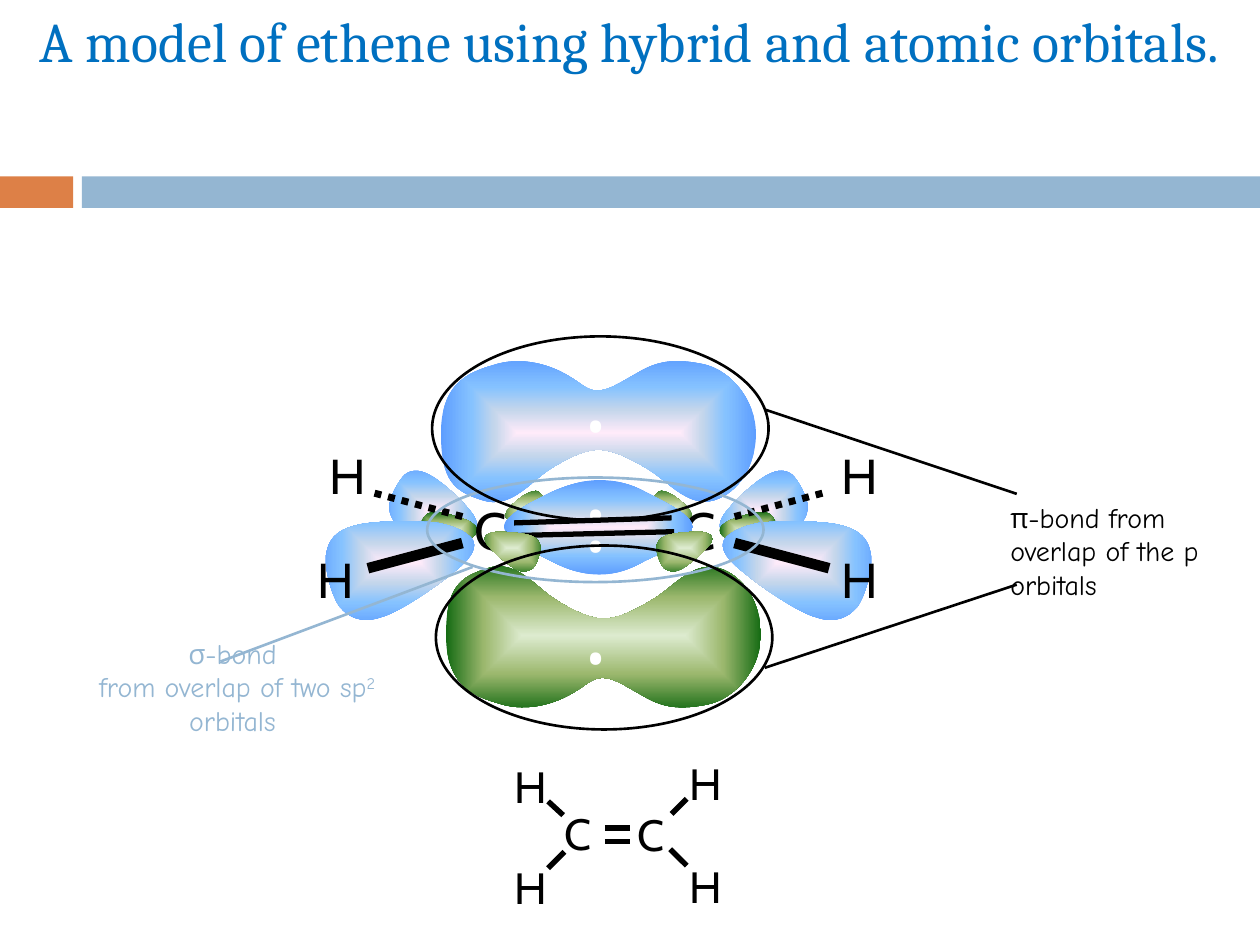
"""Build the slide on the orbital model of ethene."""
from itertools import chain
from math import cos, radians, sin

from lxml.etree import SubElement
from pptx import Presentation
from pptx.dml.color import RGBColor
from pptx.enum.dml import MSO_LINE
from pptx.enum.shapes import MSO_CONNECTOR, MSO_SHAPE
from pptx.enum.text import MSO_ANCHOR, MSO_AUTO_SIZE, PP_ALIGN
from pptx.oxml import parse_xml
from pptx.oxml.ns import nsdecls, qn
from pptx.util import Pt

PX = 9144
MIRROR = 950
BLACK, WHITE, YELLOW, ORANGE, STEEL = "000000", "FFFFFF", "FFFF00", "DD8047", "94B6D2"
TITLE = "A model of ethene using hybrid and atomic orbitals."
TITLE_BOX = (0, 0, 1000, 118)
BARS = [((0, 140, 58, 25), ORANGE), ((65, 140, 935, 25), STEEL)]

BLUE = [(0, "FFEBFA"), (30, "C4D6EB"), (60, "85C2FF"), (100, "5E9EFF")]
GREEN = [(0, "DDEBCF"), (50, "9CB86E"), (100, "156B13")]

FORMULA_ATOMS = [("H", 408, 603), ("H", 408, 683), ("C", 506, 641),
                 ("H", 547, 601), ("H", 547, 682), ("C", 448, 640)]
FORMULA_BONDS = [(480, 668, 500, 668), (480, 657, 500, 657), (447, 647, 435, 636),
                 (448, 676, 435, 689), (533, 646, 545, 634), (532, 674, 545, 687)]

SIDE_LOBES = [
    (BLUE, 295.8, [
        (378, 421), (377, 425), (370, 426), (361, 426), (351, 425), (329, 423), (320, 419),
        (312, 415), (309, 409), (309, 402), (309, 395), (316, 382), (321, 377), (326, 373),
        (332, 372), (341, 377), (349, 381), (365, 395), (371, 403), (378, 410), (380, 417),
        (378, 421)]),
    (GREEN, 90, [
        (379, 421), (379, 418), (376, 416), (371, 413), (365, 411), (352, 406), (346, 406),
        (340, 406), (337, 409), (335, 413), (333, 417), (334, 426), (335, 430), (337, 434),
        (340, 436), (346, 435), (352, 435), (365, 432), (370, 429), (376, 427), (379, 423),
        (379, 421)]),
    (BLUE, 254.3, [
        (376, 430), (378, 437), (372, 445), (359, 455), (347, 465), (317, 486), (302, 490),
        (287, 495), (277, 490), (270, 482), (263, 473), (257, 450), (259, 439), (261, 428),
        (267, 421), (282, 417), (296, 413), (332, 413), (348, 415), (363, 418), (374, 424),
        (376, 430)]),
    (GREEN, 248.2, [
        (401, 410), (402, 412), (405, 413), (409, 413), (414, 413), (424, 412), (428, 411),
        (433, 409), (434, 407), (434, 403), (434, 400), (432, 394), (429, 392), (427, 389),
        (424, 389), (420, 391), (416, 392), (408, 399), (405, 402), (402, 405), (401, 408),
        (401, 410)]),
]
SIDE_BONDS = [((417, 418, 508, 418), YELLOW, 3, None),
              ((367, 410, 292, 390), BLACK, 4, MSO_LINE.ROUND_DOT),
              ((367, 431, 292, 451), BLACK, 6, None)]
CARBON_BOX = (367, 390, 50, 60)
SIGMA_LOBE = [
    (400, 418), (400, 409), (425, 397), (437, 391), (450, 385), (463, 381), (476, 381),
    (488, 381), (501, 384), (513, 391), (525, 397), (550, 409), (550, 418), (550, 428),
    (525, 439), (512, 445), (500, 452), (488, 456), (476, 456), (463, 456), (450, 452),
    (437, 445), (425, 439), (400, 427), (400, 418)]
FRONT_LOBE = [
    (385, 426), (384, 429), (386, 432), (390, 436), (395, 441), (405, 450), (410, 452),
    (416, 455), (420, 453), (423, 451), (426, 448), (429, 439), (429, 435), (429, 431),
    (427, 427), (421, 425), (416, 423), (402, 422), (396, 422), (390, 422), (386, 424),
    (385, 426)]
PI_LOBE = [
    (383, 397), (361, 390), (350, 382), (350, 344), (350, 306), (370, 296), (391, 290),
    (411, 283), (432, 288), (447, 296), (462, 304), (465, 310), (474, 310), (483, 310),
    (490, 305), (506, 296), (521, 287), (534, 284), (558, 289), (581, 294), (600, 319),
    (600, 344), (600, 370), (586, 391), (567, 397), (548, 403), (533, 385), (517, 374),
    (501, 364), (487, 357), (475, 357), (464, 357), (449, 364), (434, 374), (419, 385),
    (404, 404), (383, 397)]
DOUBLE_BOND = [(535, 422, 410, 425), (533, 411, 408, 415)]
HYDROGENS = [(252, 349), (242, 431), (658, 431), (658, 349)]
ELECTRON_TOPS = [356, 381, 286, 470]

CALLOUTS = [
    {"color": STEEL, "rings": [(339, 379, 267, 83)], "leaders": [(375, 450, 175, 525)],
     "box": (25, 500, 319, 91), "align": PP_ALIGN.CENTER,
     "label": [[("σ", "Open Sans", 0), ("-bond", "Comic Neue", 0)],
               [(" from overlap of two sp", "Comic Neue", 0), ("2", "Comic Neue", 30),
                (" orbitals", "Comic Neue", 0)]]},
    {"color": BLACK, "rings": [(346, 433, 267, 146), (343, 267, 267, 146)],
     "leaders": [(607, 325, 807, 392), (607, 530, 807, 464)],
     "box": (792, 392, 175, 91), "align": PP_ALIGN.LEFT,
     "label": [[("π", "Open Sans", 0),
                ("-bond from overlap of the p orbitals", "Comic Neue", 0)]]},
]


def emu(lengths):
    return [round(length * PX) for length in lengths]


def rgb(color):
    return RGBColor.from_string(color)


def write(frame, paragraphs, *, size, color=BLACK, align=PP_ALIGN.LEFT, wrap=True, inset=None):
    frame.word_wrap = wrap
    frame.auto_size = MSO_AUTO_SIZE.SHAPE_TO_FIT_TEXT
    frame.vertical_anchor = MSO_ANCHOR.TOP
    if inset is not None:
        frame.margin_left = frame.margin_right = frame.margin_top = frame.margin_bottom = inset
    for index, runs in enumerate(paragraphs):
        paragraph = frame.add_paragraph() if index else frame.paragraphs[0]
        paragraph.alignment = align
        for words, font, raised in runs:
            run = paragraph.add_run()
            run.text = words
            run.font.name, run.font.size = font, Pt(size)
            run.font.color.rgb = rgb(color)
            if raised:
                run.font._element.set("baseline", str(raised * 1000))


def add_text(shapes, box, paragraphs, **style):
    write(shapes.add_textbox(*emu(box)).text_frame, paragraphs, **style)


def add_symbol(shapes, symbol, box, font="Cabin", **style):
    add_text(shapes, box, [[(symbol, font, 0)]], **style)


def add_line(shapes, ends, color, width, dash=None):
    line = shapes.add_connector(MSO_CONNECTOR.STRAIGHT, *emu(ends))
    line.line.color.rgb = rgb(color)
    line.line.width = Pt(width)
    if dash:
        line.line.dash_style = dash
    SubElement(line._element.spPr, qn("a:effectLst"))


def add_preset(shapes, preset, box, fill=None, outline=None):
    shape = shapes.add_shape(preset, *emu(box))
    shape.shadow.inherit = False
    if fill:
        shape.fill.solid()
        shape.fill.fore_color.rgb = rgb(fill)
        shape.line.fill.background()
    else:
        shape.fill.background()
        shape.line.color.rgb = rgb(outline)
        shape.line.width = Pt(1.5)


def curve_segments(geometry):
    corners = list(geometry.iter(qn("a:lnTo")))
    for first, second, third in zip(corners[::3], corners[1::3], corners[2::3]):
        first.tag = qn("a:cubicBezTo")
        for corner in (second, third):
            first.append(corner[0])
            corner.getparent().remove(corner)


def add_lobe(shapes, points, stops, angle=0):
    turn = complex(cos(radians(angle)), sin(radians(angle)))
    flat = [complex(*point) / turn for point in points]
    xs, ys = [p.real for p in flat], [p.imag for p in flat]
    middle = complex(min(xs) + max(xs), min(ys) + max(ys)) / 2
    shift = middle * turn - middle
    outline = [emu(((p + shift).real, (p + shift).imag)) for p in flat]
    builder = shapes.build_freeform(*outline[0], scale=1.0)
    builder.add_line_segments(outline[1:], close=True)
    lobe = builder.convert_to_shape()
    lobe.rotation = angle
    lobe.shadow.inherit = False
    lobe.line.fill.background()
    geometry = lobe._element.spPr.find(qn("a:custGeom"))
    curve_segments(geometry)
    marks = "".join(f'<a:gs pos="{pos * 1000}"><a:srgbClr val="{color}"/></a:gs>'
                    for pos, color in stops)
    geometry.addnext(parse_xml(
        f'<a:gradFill {nsdecls("a")} rotWithShape="1"><a:gsLst>{marks}</a:gsLst><a:path path="rect">'
        '<a:fillToRect l="50000" t="50000" r="50000" b="50000"/></a:path></a:gradFill>'))


def reflect(points):
    return [(MIRROR - x, y) for x, y in points]


def add_side(shapes, mirrored):
    for stops, angle, points in SIDE_LOBES:
        add_lobe(shapes, reflect(points) if mirrored else points, stops,
                 360 - angle if mirrored else angle)
    left, top, width, height = CARBON_BOX
    left = MIRROR - left - width if mirrored else left
    add_symbol(shapes, "C", (left, top, width, height), size=30, wrap=False)
    for ends, *style in SIDE_BONDS:
        if mirrored:
            ends = tuple(chain(*reflect([ends[:2], ends[2:]])))
        add_line(shapes, ends, *style)


def add_callout(group, callout):
    for ring in callout["rings"]:
        add_preset(group, MSO_SHAPE.OVAL, ring, outline=callout["color"])
    for leader in callout["leaders"]:
        add_line(group, leader, callout["color"], 1.5)
    add_text(group, callout["box"], callout["label"], size=16,
             color=callout["color"], align=callout["align"])


def main():
    deck = Presentation()
    deck.slide_width, deck.slide_height = emu((1000, 750))
    slide = deck.slides.add_slide(deck.slide_layouts[5])
    shapes, title = slide.shapes, slide.shapes.title
    title.left, title.top, title.width, title.height = emu(TITLE_BOX)
    write(title.text_frame, [[(TITLE, "Cambria", 0)]], size=32, color="0070C0",
          align=PP_ALIGN.CENTER)
    for box, color in BARS:
        add_preset(shapes, MSO_SHAPE.RECTANGLE, box, fill=color)
    for symbol, left, top in FORMULA_ATOMS:
        add_symbol(shapes, symbol, (left, top, 25, 42), size=25, wrap=False, inset=0)
    for ends in FORMULA_BONDS:
        add_line(shapes, ends, BLACK, 3.13)
    for mirrored in (False, True):
        add_side(shapes, mirrored)
    add_lobe(shapes, SIGMA_LOBE, BLUE)
    add_line(shapes, DOUBLE_BOND[0], BLACK, 3)
    add_lobe(shapes, reflect(FRONT_LOBE), GREEN, 67.8)
    add_lobe(shapes, FRONT_LOBE, GREEN, 292.2)
    add_lobe(shapes, PI_LOBE, BLUE)
    add_lobe(shapes, [(x + 4, 848 - y) for x, y in PI_LOBE], GREEN)
    for left, top in HYDROGENS:
        add_symbol(shapes, "H", (left, top, 48, 57), size=28, wrap=False)
    for top in ELECTRON_TOPS:
        add_symbol(shapes, "·", (453, top, 60, 100), font="Open Sans", size=54, color=WHITE)
    for callout in CALLOUTS:
        add_callout(shapes.add_group_shape().shapes, callout)
    add_line(shapes, DOUBLE_BOND[1], BLACK, 3)
    deck.save("out.pptx")


if __name__ == "__main__":
    main()
